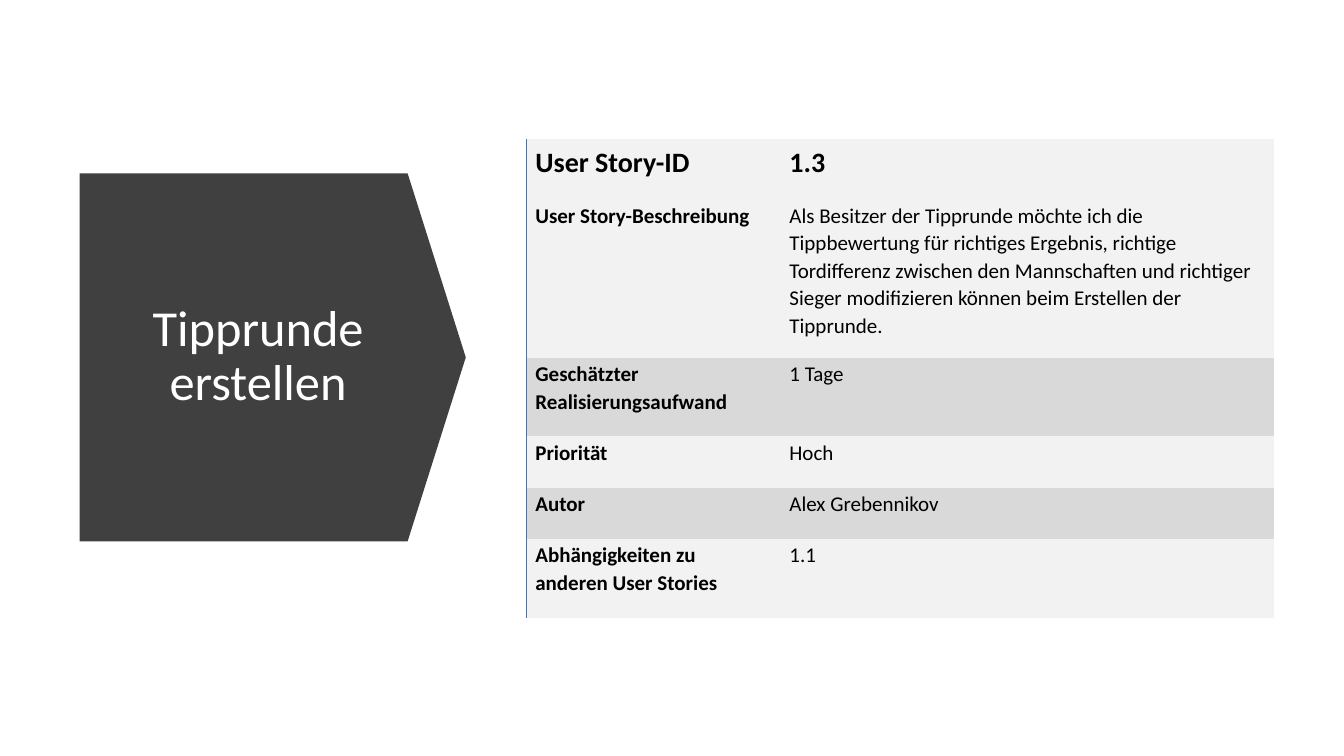
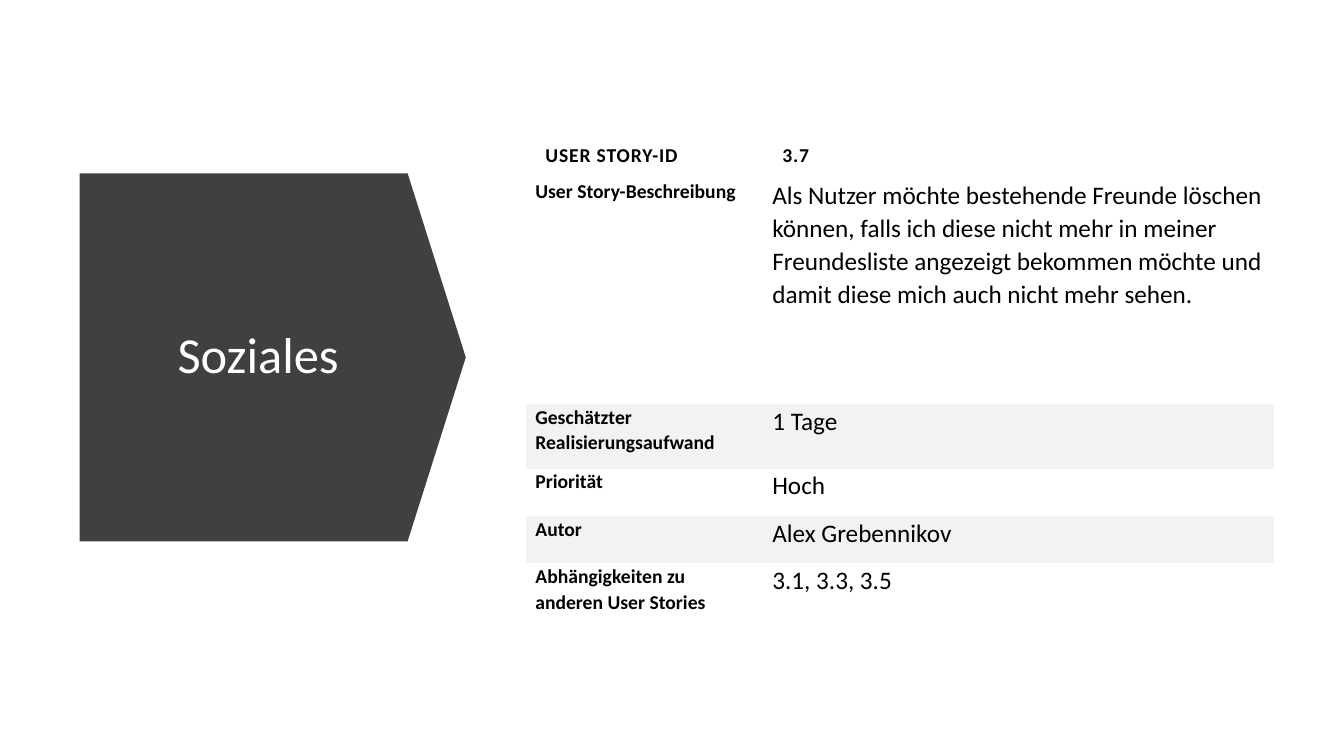
from lxml import etree
from pptx import Presentation
from pptx.dml.color import RGBColor
from pptx.enum import shapes, text
from pptx.oxml.ns import qn
from pptx.util import Inches, Pt

FONT = "Calibri"
BLACK, WHITE, DARK, LIGHT, GREY, BLUE = "000000", "FFFFFF", "404040", "F2F2F2", "D9D9D9", "4472C4"
NO_STYLE = "{2D5ABB26-0587-4C30-8999-92F81FD0307C}"
LABELS = [
    "User Story-Beschreibung",
    "Geschätzter Realisierungsaufwand",
    "Priorität",
    "Autor",
    "Abhängigkeiten zu anderen User Stories",
]

STORIES = [
    dict(
        title="Tipprunde\verstellen",
        header=("User Story-ID", "1.3"),
        values=[
            "Als Besitzer der Tipprunde möchte ich die Tippbewertung für richtiges Ergebnis, "
            "richtige Tordifferenz zwischen den Mannschaften und richtiger Sieger modifizieren "
            "können beim Erstellen der Tipprunde.",
            "1 Tage", "Hoch", "Alex Grebennikov", "1.1",
        ],
        top=1.38, cols=[2.52, 4.9], rows=[0.6, 1.57, 0.78, 0.51, 0.51, 0.78],
        header_size=20, label_size=15, value_size=15, spacing=0,
        header_insets=(0.09, 0.02, 0.2, 0.19), insets=(0.09, 0.02, 0.1, 0.19),
        fills=[LIGHT, LIGHT, GREY, LIGHT, GREY, LIGHT], edge=BLUE,
    ),
    dict(
        title="Soziales",
        header=("USER STORY-ID", "3.7"),
        values=[
            "Als Nutzer möchte bestehende Freunde löschen können, falls ich diese nicht mehr in "
            "meiner Freundesliste angezeigt bekommen möchte und damit diese mich auch nicht mehr sehen.",
            "1 Tage", "Hoch", "Alex Grebennikov", "3.1, 3.3, 3.5",
        ],
        top=1.26, cols=[2.35, 5.07], rows=[0.51, 2.24, 0.64, 0.47, 0.47, 0.64],
        header_size=14, label_size=14, value_size=18, spacing=60,
        header_insets=(0.19, 0.11, 0.19, 0.11), insets=(0.09, 0, 0.09, 0.11),
        fills=[None, None, LIGHT, None, LIGHT, None], edge=None,
    ),
]


def rgb(value):
    return RGBColor.from_string(value)


def style(p, size, color, bold=False):
    p.font.name = FONT
    p.font.size = Pt(size)
    p.font.bold = bold
    p.font.color.rgb = rgb(color)


prs = Presentation()
prs.slide_width, prs.slide_height = Inches(13.33), Inches(7.5)

for story in STORIES:
    s = prs.slides.add_slide(prs.slide_layouts[6])

    sp = s.shapes.add_shape(shapes.MSO_SHAPE.DOWN_ARROW,
                            Inches(0.88), Inches(1.63), Inches(3.65), Inches(3.83))
    sp.rotation = 270
    sp.adjustments[0], sp.adjustments[1] = 1, 0.158
    sp.shadow.inherit = False
    sp.fill.solid()
    sp.fill.fore_color.rgb = rgb(DARK)
    sp.line.fill.background()

    tf = s.shapes.add_textbox(Inches(1.12), Inches(2.15), Inches(2.88), Inches(2.79)).text_frame
    tf.word_wrap = True
    tf.vertical_anchor = text.MSO_ANCHOR.MIDDLE
    p = tf.paragraphs[0]
    p.text = story["title"]
    p.alignment = text.PP_ALIGN.CENTER
    p.line_spacing = 0.9
    style(p, 36, WHITE)

    rows = [story["header"], *zip(LABELS, story["values"])]
    frame = s.shapes.add_table(len(rows), 2, Inches(5.22), Inches(story["top"]),
                               Inches(sum(story["cols"])), Inches(sum(story["rows"])))
    table = frame.table
    table.first_row = table.horz_banding = False
    table._tbl.tblPr.find(qn("a:tableStyleId")).text = NO_STYLE
    for column, width in zip(table.columns, story["cols"]):
        column.width = Inches(width)
    for row, height in zip(table.rows, story["rows"]):
        row.height = Inches(height)

    for i, row in enumerate(rows):
        header = i == 0
        for j, words in enumerate(row):
            cell = table.cell(i, j)
            insets = story["header_insets" if header else "insets"]
            cell.margin_left, cell.margin_top, cell.margin_right, cell.margin_bottom = map(Inches, insets)
            cell.vertical_anchor = text.MSO_ANCHOR.BOTTOM if header else text.MSO_ANCHOR.TOP
            if story["fills"][i]:
                cell.fill.solid()
                cell.fill.fore_color.rgb = rgb(story["fills"][i])
            else:
                cell.fill.background()

            p = cell.text_frame.paragraphs[0]
            r = p.add_run()
            r.text = words
            p.line_spacing = 1.07
            p.space_after = Pt(8)
            size = story["header_size" if header else "value_size" if j else "label_size"]
            style(p, size, BLACK, header or j == 0)
            if header and story["spacing"]:
                r._r.get_or_add_rPr().set("spc", str(story["spacing"]))

            if j == 0 and story["edge"]:
                ln = etree.Element(qn("a:lnL"), w=str(Pt(1)))
                fill = etree.SubElement(ln, qn("a:solidFill"))
                etree.SubElement(fill, qn("a:srgbClr"), val=story["edge"])
                cell._tc.get_or_add_tcPr().insert(0, ln)

prs.save("out.pptx")
